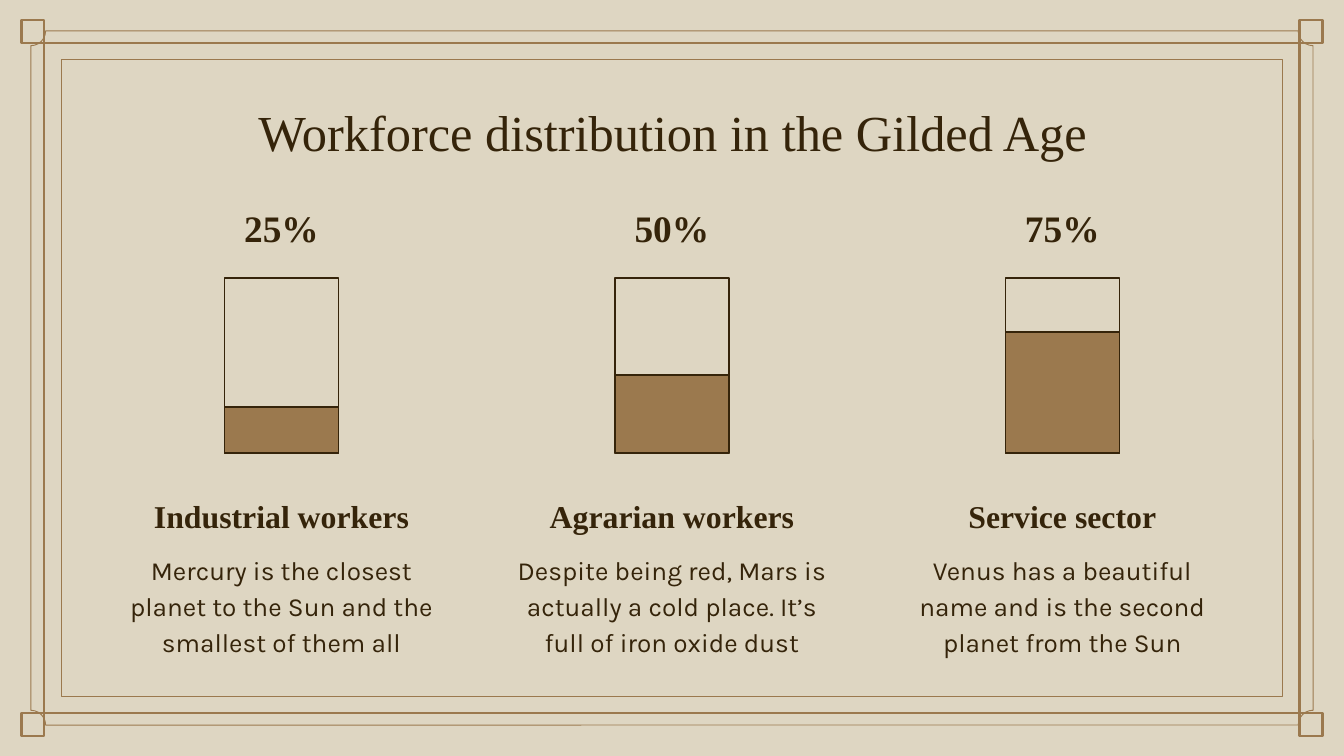
from pptx import Presentation
from pptx.dml.color import RGBColor
from pptx.enum.shapes import MSO_SHAPE
from pptx.enum.text import MSO_ANCHOR, PP_ALIGN
from pptx.util import Inches, Pt

WIDTH = 10
HEIGHT = WIDTH * 9 / 16
BACKGROUND, BRONZE, BROWN = "DED6C2", "9B794E", "35240A"
SERIF, SANS = "Times New Roman", "Karla"

presentation = Presentation()
presentation.slide_width = Inches(WIDTH)
presentation.slide_height = Inches(HEIGHT)
slide = presentation.slides.add_slide(presentation.slide_layouts[5])
slide.background.fill.solid()
slide.background.fill.fore_color.rgb = RGBColor.from_string(BACKGROUND)


def add_outlined(kind, left, top, width, height, line, weight, fill=None):
    shape = slide.shapes.add_shape(
        kind, Inches(left), Inches(top), Inches(width), Inches(height))
    shape.shadow.inherit = False
    shape.line.color.rgb = RGBColor.from_string(line)
    shape.line.width = Pt(weight)
    if fill:
        shape.fill.solid()
        shape.fill.fore_color.rgb = RGBColor.from_string(fill)
    else:
        shape.fill.background()
    return shape


def write(shape, box, text, size, font, bold=False,
          anchor=MSO_ANCHOR.TOP, spacing=1.0):
    """Place a text shape and fill it with one centred brown paragraph."""
    shape.left, shape.top, shape.width, shape.height = map(Inches, box)
    frame = shape.text_frame
    frame.text = text
    frame.word_wrap = True
    frame.vertical_anchor = anchor
    frame.margin_left = frame.margin_right = Inches(0.1)
    frame.margin_top = frame.margin_bottom = Inches(0.1)
    paragraph = frame.paragraphs[0]
    paragraph.alignment = PP_ALIGN.CENTER
    paragraph.line_spacing = spacing
    run_font = paragraph.runs[0].font
    run_font.name = font
    run_font.size = Pt(size)
    run_font.bold = bold
    run_font.color.rgb = RGBColor.from_string(BROWN)


# Decorative border: three nested frames and four corner squares
frames = [
    (MSO_SHAPE.RECTANGLE, 0.33, 0.32, 1.28),
    (MSO_SHAPE.RECTANGLE, 0.46, 0.44, 0.5),
    (MSO_SHAPE.PLAQUE, 0.23, 0.23, 0.5),
]
for kind, x, y, weight in frames:
    frame_shape = add_outlined(
        kind, x, y, WIDTH - 2 * x, HEIGHT - 2 * y, BRONZE, weight)
    if kind == MSO_SHAPE.PLAQUE:
        frame_shape.adjustments[0] = 0.11 / (HEIGHT - 2 * y)

CORNER = 0.17
for x in (0.16, WIDTH - 0.16 - CORNER):
    for y in (0.15, HEIGHT - 0.15 - CORNER):
        add_outlined(MSO_SHAPE.RECTANGLE, x, y, CORNER, CORNER, BRONZE, 1.28)

CONTENT_LEFT, CONTENT_WIDTH, COLUMN_WIDTH = 0.79, 8.43, 2.62
write(slide.shapes.title, (CONTENT_LEFT, 0.65, CONTENT_WIDTH, 0.63),
      "Workforce distribution in the Gilded Age", 27, SERIF)

# One column per sector: percentage, gauge, heading, description
sectors = [
    ("25%", 0.34, "Industrial workers",
     "Mercury is the closest planet to the Sun and the smallest of them all"),
    ("50%", 0.58, "Agrarian workers",
     "Despite being red, Mars is actually a cold place. "
     "It’s full of iron oxide dust"),
    ("75%", 0.9, "Service sector",
     "Venus has a beautiful name and is the second planet from the Sun"),
]
GAUGE_WIDTH, GAUGE_HEIGHT, GAUGE_BOTTOM = 0.85, 1.3, 3.37
column_step = (CONTENT_WIDTH - COLUMN_WIDTH) / 2
for index, (percentage, level, heading, description) in enumerate(sectors):
    center = WIDTH / 2 + (index - 1) * column_step
    for height, fill in ((GAUGE_HEIGHT, None), (level, BRONZE)):
        add_outlined(MSO_SHAPE.RECTANGLE, center - GAUGE_WIDTH / 2,
                     GAUGE_BOTTOM - height, GAUGE_WIDTH, height,
                     BROWN, 0.75, fill)

    texts = [
        (percentage, 1.47, 1.53, 0.44, 20, SERIF, True, MSO_ANCHOR.MIDDLE, 1.0),
        (heading, 3.53, COLUMN_WIDTH, 0.55, 17, SERIF, True,
         MSO_ANCHOR.BOTTOM, 1.15),
        (description, 3.99, COLUMN_WIDTH, 0.96, 14, SANS, False,
         MSO_ANCHOR.TOP, 1.15),
    ]
    for text, top, width, height, *style in texts:
        text_box = slide.shapes.add_textbox(0, 0, 0, 0)
        write(text_box, (center - width / 2, top, width, height), text, *style)

presentation.save("out.pptx")
